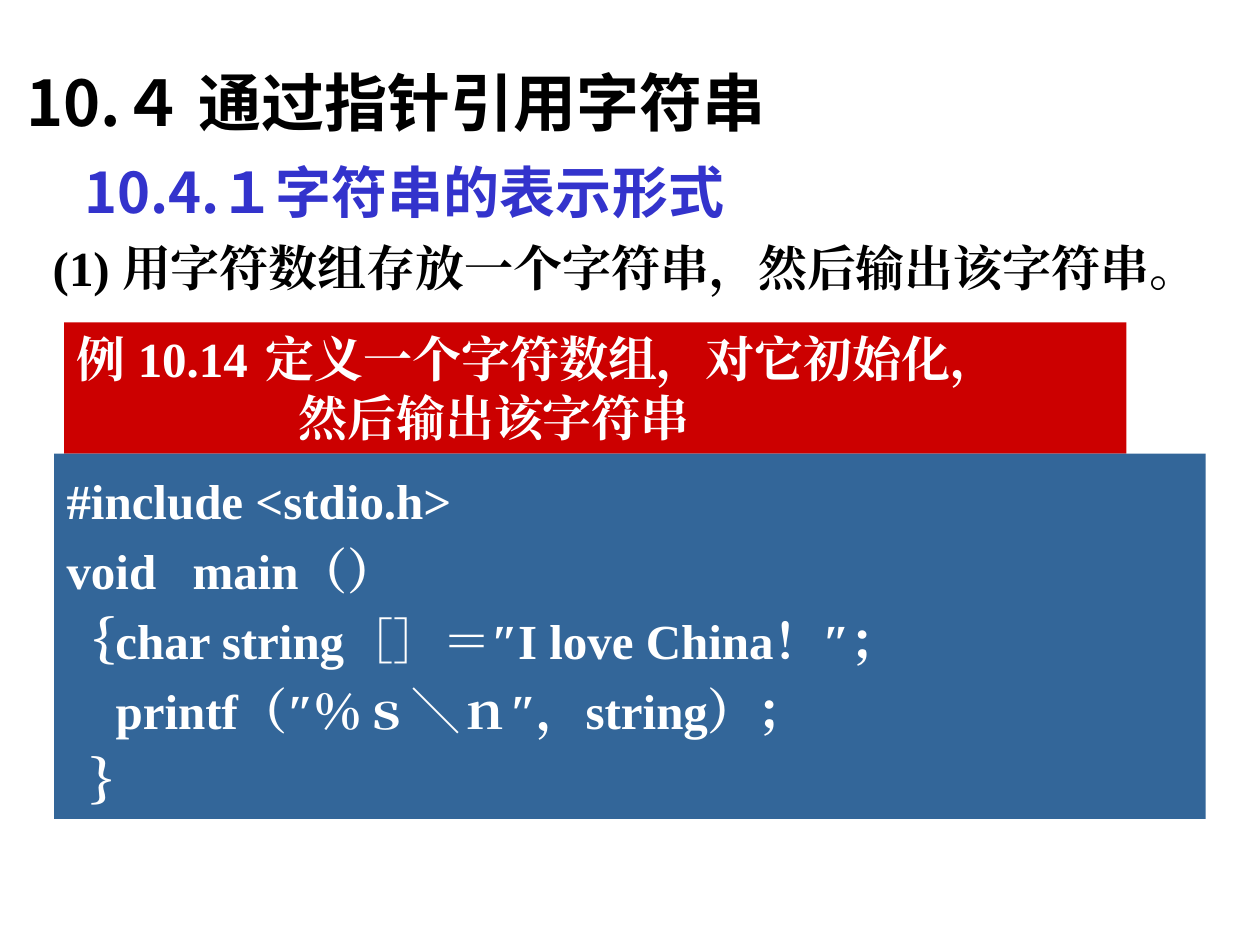
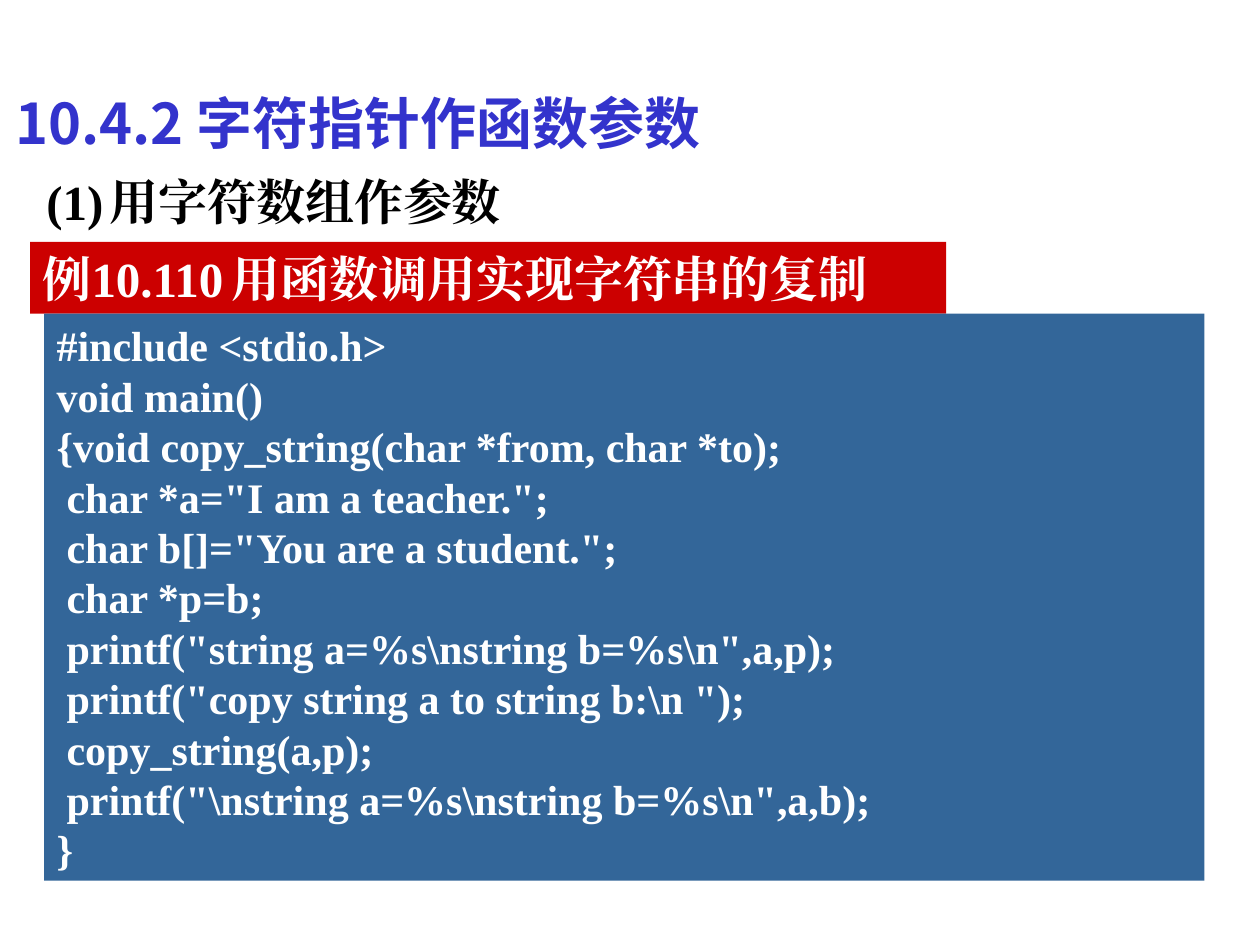
"""Build two lecture slides on strings and character pointers in C."""
from dataclasses import dataclass
from typing import NamedTuple

from lxml import etree
from pptx import Presentation
from pptx.dml.color import RGBColor
from pptx.enum.shapes import MSO_SHAPE
from pptx.enum.text import MSO_ANCHOR, MSO_AUTO_SIZE, PP_ALIGN
from pptx.oxml.ns import qn
from pptx.util import Inches, Pt

RECTANGLE = MSO_SHAPE.RECTANGLE
TOP, MIDDLE = MSO_ANCHOR.TOP, MSO_ANCHOR.MIDDLE
LEFT = PP_ALIGN.LEFT
NO_FIT = MSO_AUTO_SIZE.NONE

WIDTH, HEIGHT = Inches(10), Inches(7.5)
COLUMNS, ROWS = 100, 75
TITLE_ONLY = 5
SANS, SERIF = "Noto Sans CJK SC", "Times New Roman"
COLORS = {"ink": "000000", "section": "3333CC", "light": "FFFFFF",
          "example": "CC0000", "code": "336699"}


class Area(NamedTuple):
    """Left, top, width and height in grid columns and rows."""
    left: float
    top: float
    width: float
    height: float


class Line(NamedTuple):
    """One paragraph with its indent and tab stop in inches."""
    text: str
    indent: float = 0
    tab: float = 0


@dataclass(frozen=True)
class Style:
    """Look shared by all blocks of one kind."""
    size: float
    color: str
    font: str = SERIF
    fill: str = ""
    spacing: float = 1.2
    anchor: MSO_ANCHOR = TOP
    margin_top: float = 0.05
    margin_bottom: float = 0.05


@dataclass(frozen=True)
class Block:
    """A placed group of lines in one style."""
    style: Style
    area: Area
    lines: tuple[Line, ...]
    is_title: bool = False


HEADING = {"font": SANS, "anchor": MIDDLE, "margin_top": 0.1, "margin_bottom": 0}
CHAPTER = Style(36, "ink", **HEADING)
SECTION = Style(32, "section", **HEADING)
TOPIC = Style(28, "ink")
EXAMPLE = Style(28, "light", fill="example")
CODE = Style(28, "light", fill="code", spacing=1.43)
DENSE_CODE = Style(24, "light", fill="code")

SLIDES = (
    (
        Block(CHAPTER, Area(0, 3.7, 70.5, 7.6),
              (Line("10.４ 通过指针引用字符串", 0.11),), is_title=True),
        Block(SECTION, Area(5.7, 11.5, 54.7, 6.4), (Line("10.4.１字符串的表示形式"),)),
        Block(EXAMPLE, Area(5.1, 25.6, 84.3, 10.4), (
            Line("例 10.14\t定义一个字符数组，对它初始化，", tab=1.91),
            Line("然后输出该字符串", 1.76),
        )),
        Block(CODE, Area(4.3, 36, 91.4, 29), (
            Line("#include <stdio.h>"),
            Line("void\tmain（）", tab=0.91),
            Line("｛char string［］＝″I love China！″；"),
            Line("printf（″％ｓ＼ｎ″，string）；", 0.39),
            Line("｝", 0.19),
        )),
        Block(TOPIC, Area(3.2, 18.4, 93.8, 5.7),
              (Line("(1) 用字符数组存放一个字符串，然后输出该字符串。"),)),
    ),
    (
        Block(SECTION, Area(0.2, 6, 57.5, 6.4),
              (Line("10.4.2 字符指针作函数参数"),), is_title=True),
        Block(EXAMPLE, Area(2.4, 19.2, 72.7, 5.7),
              (Line("例10.110\t用函数调用实现字符串的复制", tab=1.91),)),
        Block(DENSE_CODE, Area(3.5, 24.9, 92.1, 45), (
            Line("#include <stdio.h>"),
            Line("void main()"),
            Line("{void copy_string(char *from, char *to);"),
            Line('char *a="I am a teacher.";', 0.08),
            Line('char b[]="You are a student.";', 0.08),
            Line("char *p=b;", 0.08),
            Line(r'printf("string a=%s\nstring b=%s\n",a,p);', 0.08),
            Line(r'printf("copy string a to string b:\n ");', 0.08),
            Line("copy_string(a,p);", 0.08),
            Line(r'printf("\nstring a=%s\nstring b=%s\n",a,b);', 0.08),
            Line("}"),
        )),
        Block(TOPIC, Area(2.7, 13.1, 40.8, 5.7), (Line("(1)\t用字符数组作参数", tab=0.74),)),
    ),
)


def set_attributes(target, values: dict) -> None:
    """Set each named value on the target."""
    for name, value in values.items():
        setattr(target, name, value)


def place(area: Area) -> dict[str, int]:
    """Turn grid units into slide lengths."""
    column, row = WIDTH / COLUMNS, HEIGHT / ROWS
    return {"left": round(area.left * column), "top": round(area.top * row),
            "width": round(area.width * column), "height": round(area.height * row)}


def write_line(para, line: Line, style: Style) -> None:
    """Write and format one paragraph."""
    set_attributes(para, {"alignment": LEFT, "line_spacing": Pt(round(style.size * style.spacing, 1)),
                          "space_before": Pt(0), "space_after": Pt(0)})
    properties = para._p.get_or_add_pPr()
    properties.set("marL", str(Inches(line.indent)))
    properties.set("indent", "0")
    if line.tab:
        stops = etree.SubElement(properties, qn("a:tabLst"))
        etree.SubElement(stops, qn("a:tab"), pos=str(Inches(line.tab)), algn="l")
    span = para.add_run()
    span.text = line.text
    set_attributes(span.font, {"name": style.font, "size": Pt(style.size), "bold": True})
    span.font.color.rgb = RGBColor.from_string(COLORS[style.color])
    etree.SubElement(span._r.get_or_add_rPr(), qn("a:ea"), typeface=style.font)


def draw_block(page, block: Block) -> None:
    """Draw a block as a title, a filled rectangle or a text box."""
    style, position = block.style, place(block.area)
    if block.is_title:
        box = page.shapes.title
        set_attributes(box, position)
    elif style.fill:
        box = page.shapes.add_shape(RECTANGLE, *position.values())
        box.shadow.inherit = False
        box.fill.solid()
        box.fill.fore_color.rgb = RGBColor.from_string(COLORS[style.fill])
        box.line.fill.background()
    else:
        box = page.shapes.add_textbox(*position.values())
    frame = box.text_frame
    set_attributes(frame, {
        "word_wrap": True, "auto_size": NO_FIT, "vertical_anchor": style.anchor,
        "margin_left": Inches(0.1), "margin_right": 0,
        "margin_top": Inches(style.margin_top), "margin_bottom": Inches(style.margin_bottom),
    })
    for index, line in enumerate(block.lines):
        write_line(frame.add_paragraph() if index else frame.paragraphs[0], line, style)


def main() -> None:
    """Build the deck and save it."""
    deck = Presentation()
    set_attributes(deck, {"slide_width": WIDTH, "slide_height": HEIGHT})
    for blocks in SLIDES:
        page = deck.slides.add_slide(deck.slide_layouts[TITLE_ONLY])
        for block in blocks:
            draw_block(page, block)
    deck.save("out.pptx")


if __name__ == "__main__":
    main()
